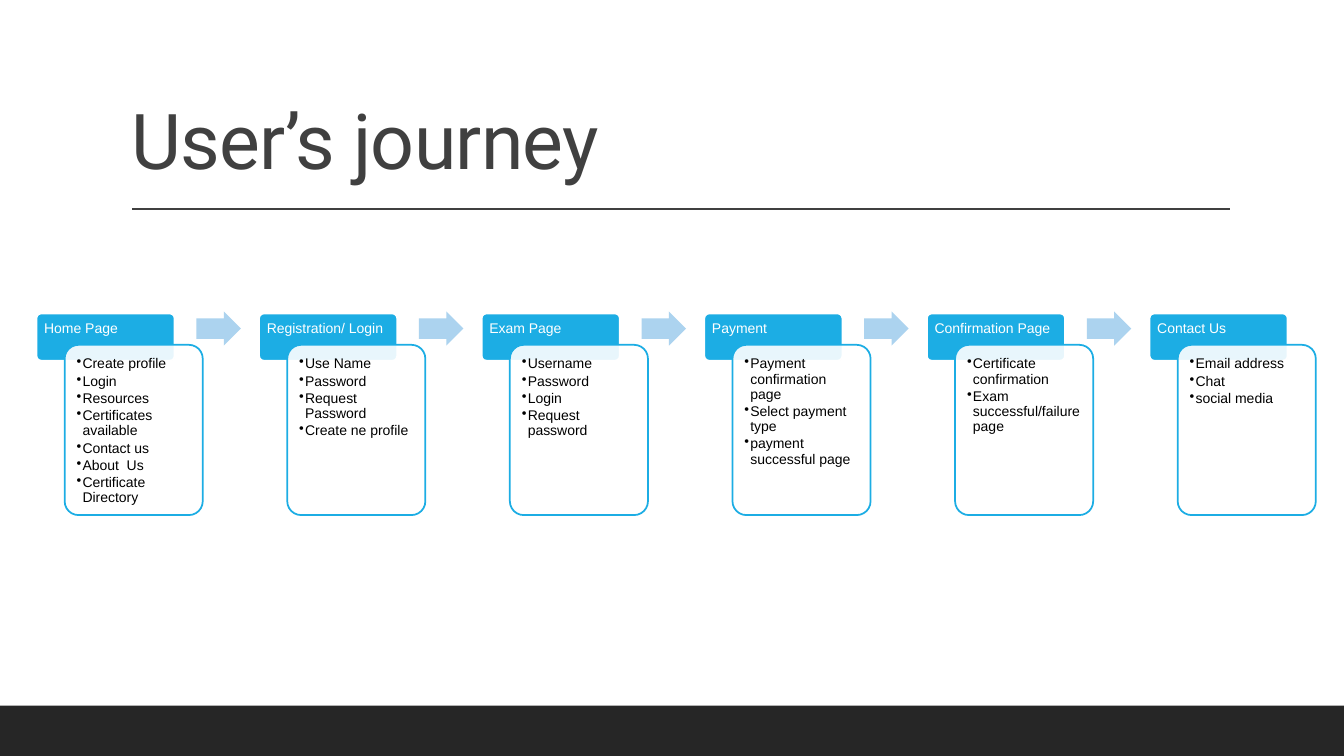
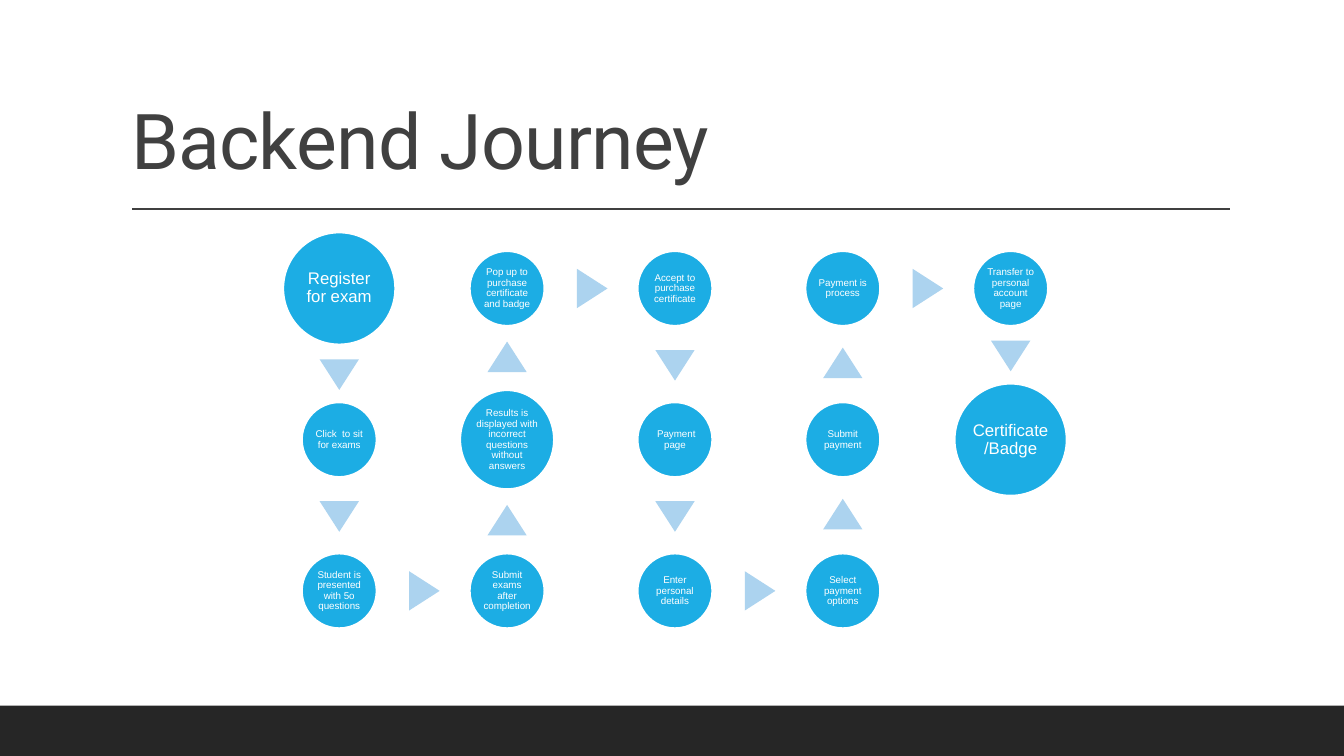
from dataclasses import dataclass
from itertools import pairwise

from lxml import etree
from pptx import Presentation
from pptx.dml.color import RGBColor
from pptx.enum.shapes import MSO_CONNECTOR, MSO_SHAPE
from pptx.enum.text import MSO_ANCHOR, MSO_AUTO_SIZE, PP_ALIGN
from pptx.oxml.ns import qn
from pptx.util import Cm, Pt

RECT, ROUNDED = MSO_SHAPE.RECTANGLE, MSO_SHAPE.ROUNDED_RECTANGLE
OVAL, TRIANGLE = MSO_SHAPE.OVAL, MSO_SHAPE.ISOSCELES_TRIANGLE
ARROW, STRAIGHT = MSO_SHAPE.RIGHT_ARROW, MSO_CONNECTOR.STRAIGHT
TOP, MIDDLE, BOTTOM = MSO_ANCHOR.TOP, MSO_ANCHOR.MIDDLE, MSO_ANCHOR.BOTTOM
LEFT, CENTER = PP_ALIGN.LEFT, PP_ALIGN.CENTER

WHITE, BLACK, BLUE, PALE_BLUE = "FFFFFF", "000000", "1CADE4", "ACD3EF"
GREY, CHARCOAL = "404040", "262626"
TITLE_FONT, BODY_FONT = "Roboto", "Arial"
SLIDE_W, SLIDE_H, BAND_H = 33.87, 19.05, 1.27

# Page cards, in cm
CARD_LEFT, CARD_TOP, CARD_PITCH, CARD_W = 0.92, 7.9, 5.61, 3.48
HEADER_H, LIST_H = 1.19, 4.29
LIST_DX, LIST_DY = 0.71, 0.79
ARROW_DX, ARROW_DY, ARROW_W, ARROW_H = 4.03, -0.05, 1.12, 0.86

# Grid of steps, in cm
GRID_X, GRID_Y, COL_PITCH, ROW_PITCH = 8.55, 7.27, 4.23, 3.81
POINTER_W, POINTER_H, POINTER_SHIFT = 0.99, 0.77, 0.03


@dataclass(frozen=True)
class Page:
    name: str
    items: tuple[str, ...]


@dataclass(frozen=True)
class Step:
    text: str
    col: int
    row: int
    w: float = 1.88
    h: float = 1.88
    size: int = 7

    @property
    def x(self) -> float:
        return GRID_X + self.col * COL_PITCH

    @property
    def y(self) -> float:
        return GRID_Y + self.row * ROW_PITCH


PAGES = (
    Page("Home Page", ("Create profile", "Login", "Resources", "Certificates available",
                       "Contact us", "About  Us", "Certificate Directory")),
    Page("Registration/ Login", ("Use Name", "Password", "Request Password",
                                 "Create ne profile")),
    Page("Exam Page", ("Username", "Password", "Login", "Request password")),
    Page("Payment", ("Payment confirmation page", "Select payment type",
                     "payment successful page")),
    Page("Confirmation Page", ("Certificate confirmation",
                               "Exam successful/failure page")),
    Page("Contact Us", ("Email address", "Chat", "social media")),
)

STEPS = (
    Step("Register for exam", 0, 0, 2.82, 2.82, 12),
    Step("Click  to sit for exams", 0, 1),
    Step("Student is presented with 5o questions", 0, 2),
    Step("Submit exams after completion", 1, 2),
    Step("Results is displayed with incorrect questions without answers", 1, 1, 2.36, 2.49),
    Step("Pop up to purchase certificate and badge", 1, 0),
    Step("Accept to purchase certificate", 2, 0),
    Step(" Payment page", 2, 1),
    Step("Enter personal details", 2, 2),
    Step("Select payment options", 3, 2),
    Step("Submit payment", 3, 1),
    Step("Payment is process", 3, 0),
    Step("Transfer to personal account page", 4, 0),
    Step("Certificate /Badge", 4, 1, 2.82, 2.82, 12),
)


def rgb(value: str) -> RGBColor:
    return RGBColor.from_string(value)


def add_shape(s, kind, x: float, y: float, w: float, h: float, fill: str, line: str = ""):
    """Add a flat preset shape; lengths are in cm."""
    sp = s.shapes.add_shape(kind, Cm(x), Cm(y), Cm(w), Cm(h))
    sp.shadow.inherit = False
    sp.fill.solid()
    sp.fill.fore_color.rgb = rgb(fill)
    if line:
        sp.line.color.rgb = rgb(line)
        sp.line.width = Pt(1.25)
    else:
        sp.line.fill.background()
    return sp


def set_alpha(sp, percent: int) -> None:
    color = sp.element.spPr.find(qn("a:solidFill")).find(qn("a:srgbClr"))
    etree.SubElement(color, qn("a:alpha"), val=str(percent * 1000))


def format_paragraph(p, size: float, color: str, font: str = BODY_FONT, align=LEFT) -> None:
    p.alignment = align
    p.line_spacing = 0.9
    for r in p.runs:
        r.font.size = Pt(size)
        r.font.name = font
        r.font.color.rgb = rgb(color)


def set_frame(tf, anchor, margin: float) -> None:
    tf.word_wrap = True
    tf.vertical_anchor = anchor
    tf.margin_left = tf.margin_right = tf.margin_top = tf.margin_bottom = Cm(margin)


def fill_list(tf, items: tuple[str, ...]) -> None:
    tf.text = "\n".join(items)
    for p in tf.paragraphs:
        format_paragraph(p, 10, BLACK)
        p.space_after = Pt(1.5)
        pPr = p._p.get_or_add_pPr()
        pPr.set("marL", str(Cm(0.15)))
        pPr.set("indent", str(Cm(-0.15)))
        etree.SubElement(pPr, qn("a:buChar"), char="•")


def dress_layout(layout, s) -> None:
    """Give the layout its title place, band and rule, drawn on s and moved over."""
    tree = layout.shapes.element
    for ph in list(layout.placeholders):
        if ph.placeholder_format.idx:
            tree.remove(ph.element)
    title = layout.placeholders[0]
    title.left, title.top, title.width, title.height = Cm(3.05), Cm(0.79), Cm(27.94), Cm(4.04)

    band = add_shape(s, RECT, 0, SLIDE_H - BAND_H, SLIDE_W, BAND_H, CHARCOAL)
    rule = s.shapes.add_connector(STRAIGHT, Cm(3.33), Cm(5.27), Cm(31), Cm(5.27))
    rule.line.color.rgb = rgb(GREY)
    rule.line.width = Pt(1)
    etree.SubElement(rule.element.spPr, qn("a:effectLst"))
    tree.extend([band.element, rule.element])


def set_title(s, text: str) -> None:
    tf = s.shapes.title.text_frame
    tf.text = text
    tf.auto_size = MSO_AUTO_SIZE.NONE
    tf.vertical_anchor = BOTTOM
    p = tf.paragraphs[0]
    format_paragraph(p, 55, GREY, TITLE_FONT)
    p.runs[0].font._element.set("spc", "-50")


def add_page_card(s, page: Page, x: float) -> None:
    header = add_shape(s, ROUNDED, x, CARD_TOP, CARD_W, HEADER_H, BLUE, WHITE)
    header.adjustments[0] = 0.1
    set_frame(header.text_frame, TOP, 0.16)
    header.text_frame.text = page.name
    format_paragraph(header.text_frame.paragraphs[0], 10, WHITE)

    card = add_shape(s, ROUNDED, x + LIST_DX, CARD_TOP + LIST_DY, CARD_W, LIST_H, WHITE, BLUE)
    card.adjustments[0] = 0.1
    set_alpha(card, 90)
    set_frame(card.text_frame, TOP, 0.2)
    fill_list(card.text_frame, page.items)


def draw_user_journey(s) -> None:
    for i, page in enumerate(PAGES):
        x = CARD_LEFT + i * CARD_PITCH
        add_page_card(s, page, x)
        if i < len(PAGES) - 1:
            arrow = add_shape(s, ARROW, x + ARROW_DX, CARD_TOP + ARROW_DY,
                              ARROW_W, ARROW_H, PALE_BLUE)
            arrow.adjustments[0] = 0.6
            arrow.adjustments[1] = 0.5


def add_step(s, step: Step) -> None:
    sp = add_shape(s, OVAL, step.x - step.w / 2, step.y - step.h / 2,
                   step.w, step.h, BLUE, WHITE)
    set_frame(sp.text_frame, MIDDLE, 0.03)
    sp.text_frame.text = step.text
    format_paragraph(sp.text_frame.paragraphs[0], step.size, WHITE, align=CENTER)


def add_pointer(s, a: Step, b: Step) -> None:
    """Put a triangle halfway between the facing edges of two steps."""
    dx, dy = b.col - a.col, b.row - a.row
    x = (a.x + b.x + dx * (a.w - b.w) / 2) / 2 + dx * POINTER_SHIFT
    y = (a.y + b.y + dy * (a.h - b.h) / 2) / 2 + dy * POINTER_SHIFT
    sp = add_shape(s, TRIANGLE, x - POINTER_W / 2, y - POINTER_H / 2,
                   POINTER_W, POINTER_H, PALE_BLUE)
    sp.rotation = 90 if dx else 90 + 90 * dy


def draw_backend_journey(s) -> None:
    for step in STEPS:
        add_step(s, step)
    for a, b in pairwise(STEPS):
        add_pointer(s, a, b)


def main() -> None:
    prs = Presentation()
    prs.slide_width, prs.slide_height = Cm(SLIDE_W), Cm(SLIDE_H)
    layout = prs.slide_layouts.get_by_name("Title Only")
    user, backend = (prs.slides.add_slide(layout) for _ in range(2))
    dress_layout(layout, user)

    set_title(user, "User’s journey")
    draw_user_journey(user)
    set_title(backend, "Backend Journey")
    draw_backend_journey(backend)
    prs.save("out.pptx")


if __name__ == "__main__":
    main()
